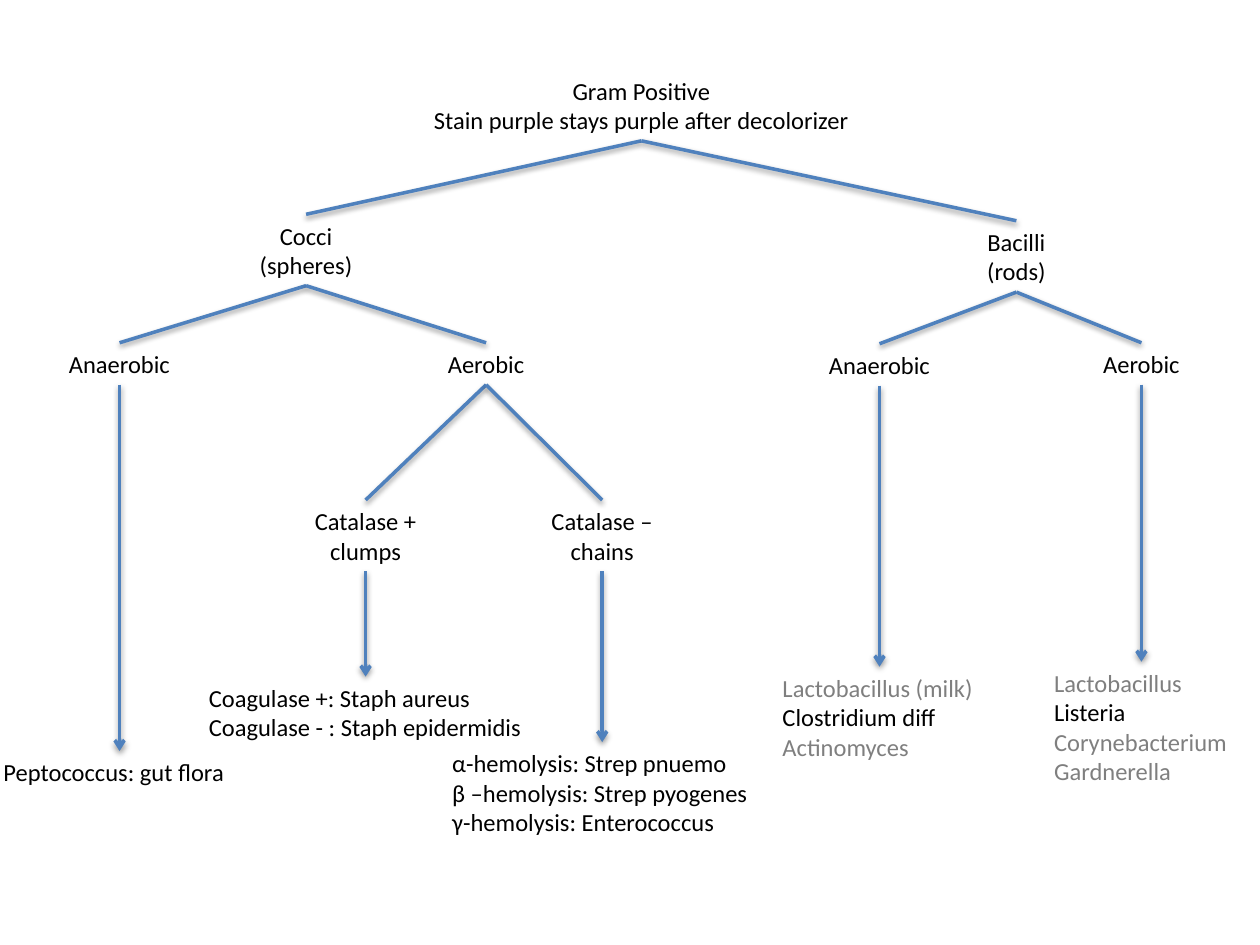
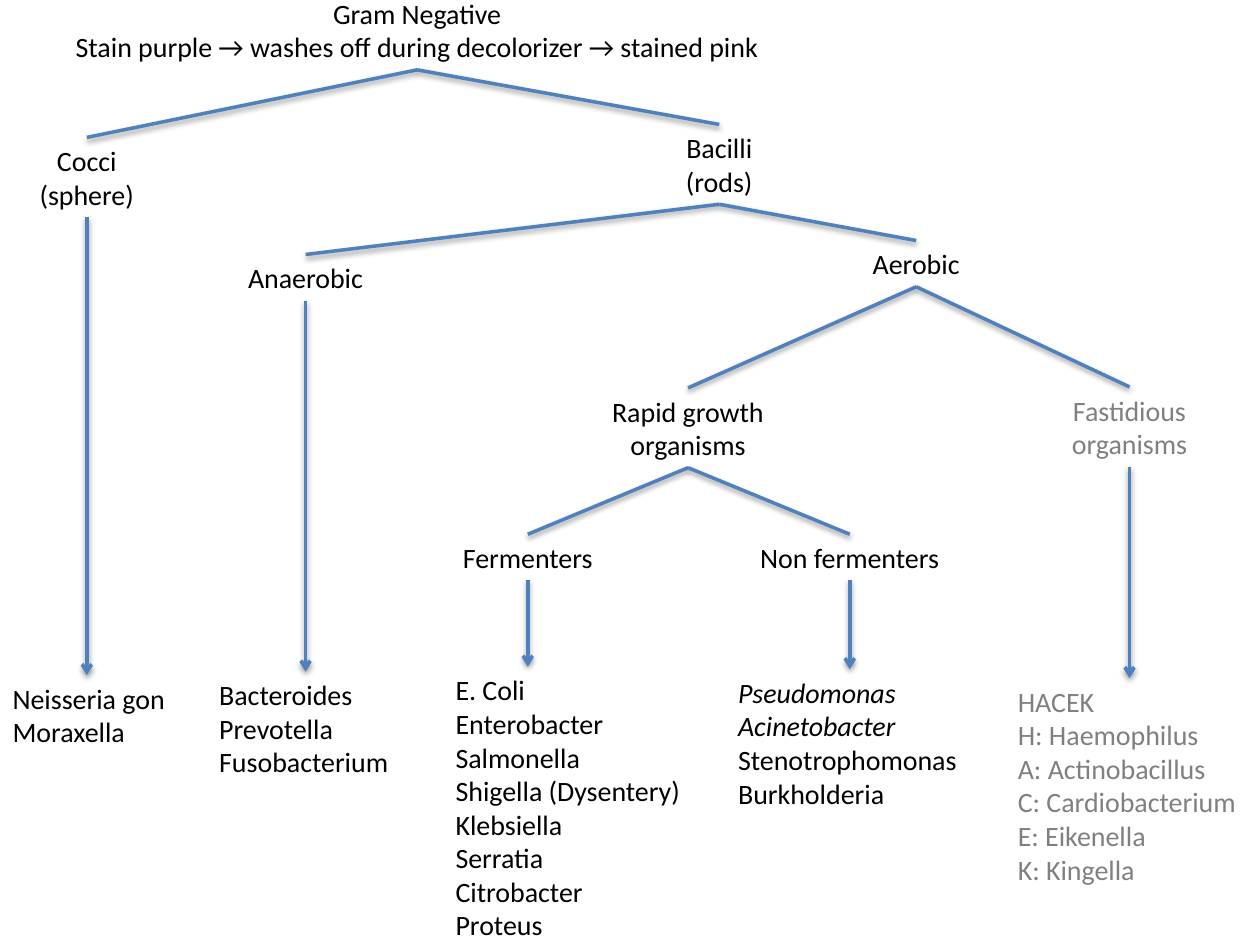
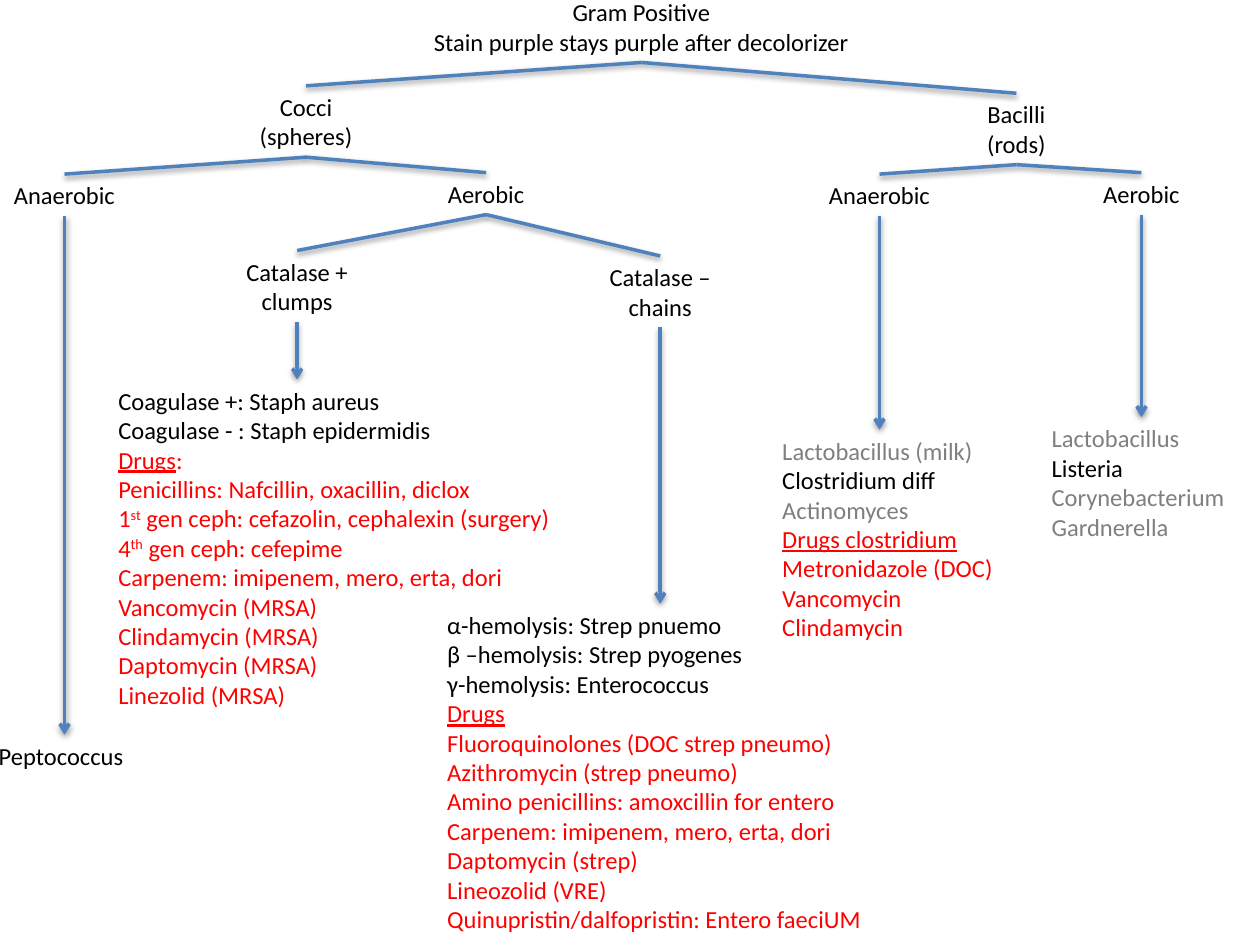
from lxml import etree
from pptx import Presentation
from pptx import util as u
from pptx.dml.color import RGBColor
from pptx.enum import shapes, text
from pptx.oxml.ns import qn

FONT = "Calibri"
BLACK, GREY, MID_GREY, RED, BLUE = "000000", "7F7F7F", "808080", "FF0000", "4F81BD"


def paint(color, *lines):
    return [[(line, {"color": color})] for line in lines]


def heading(label, tail=""):
    return [(label, {"color": RED, "underline": True}), (tail, {"color": RED})][:2 if tail else 1]


def ordinal(number, suffix, rest):
    return [(number, {"color": RED}), (suffix, {"color": RED, "raised": True}), (rest, {"color": RED})]


# name: (parent, lines)
POSITIVE = {
    "root": (None, ["Gram Positive", "Stain purple stays purple after decolorizer"]),
    "cocci": ("root", ["Cocci", "(spheres)"]),
    "bacilli": ("root", ["Bacilli", "(rods)"]),
    "cocci anaerobic": ("cocci", ["Anaerobic"]),
    "cocci aerobic": ("cocci", ["Aerobic"]),
    "bacilli anaerobic": ("bacilli", ["Anaerobic"]),
    "bacilli aerobic": ("bacilli", ["Aerobic"]),
    "clumps": ("cocci aerobic", ["Catalase +", "clumps"]),
    "chains": ("cocci aerobic", ["Catalase –", "chains"]),
    "peptococcus": ("cocci anaerobic", ["Peptococcus: gut flora"]),
    "staph": ("clumps", ["Coagulase +: Staph aureus", "Coagulase - : Staph epidermidis"]),
    "strep": ("chains", ["α-hemolysis: Strep pnuemo", "β –hemolysis: Strep pyogenes",
                         "γ-hemolysis: Enterococcus"]),
    "clostridium": ("bacilli anaerobic", paint(GREY, "Lactobacillus (milk)") + ["Clostridium diff"]
                    + paint(GREY, "Actinomyces")),
    "listeria": ("bacilli aerobic", paint(GREY, "Lactobacillus") + ["Listeria"]
                 + paint(GREY, "Corynebacterium", "Gardnerella")),
}

DRUGS = {
    "staph": [heading("Drugs", ":"), *paint(RED, "Penicillins: Nafcillin, oxacillin, diclox"),
              ordinal("1", "st", " gen ceph: cefazolin, cephalexin (surgery)"),
              ordinal("4", "th", " gen ceph: cefepime"),
              *paint(RED, "Carpenem: imipenem, mero, erta, dori", "Vancomycin (MRSA)",
                     "Clindamycin (MRSA)", "Daptomycin (MRSA)", "Linezolid (MRSA)")],
    "strep": [heading("Drugs"),
              *paint(RED, "Fluoroquinolones (DOC strep pneumo)", "Azithromycin (strep pneumo)",
                     "Amino penicillins: amoxcillin for entero",
                     "Carpenem: imipenem, mero, erta, dori", "Daptomycin (strep)",
                     "Lineozolid (VRE)", "Quinupristin/dalfopristin: Entero faeciUM")],
    "clostridium": [heading("Drugs clostridium"),
                    *paint(RED, "Metronidazole (DOC)", "Vancomycin", "Clindamycin")],
}

TREATED = {name: (parent, lines + DRUGS.get(name, [])) for name, (parent, lines) in POSITIVE.items()}
TREATED["peptococcus"] = ("cocci anaerobic", ["Peptococcus"])

NEGATIVE = {
    "root": (None, ["Gram Negative", "Stain purple → washes off during decolorizer → stained pink"]),
    "cocci": ("root", ["Cocci", "(sphere)"]),
    "bacilli": ("root", ["Bacilli", "(rods)"]),
    "anaerobic": ("bacilli", ["Anaerobic"]),
    "aerobic": ("bacilli", ["Aerobic"]),
    "rapid": ("aerobic", ["Rapid growth", "organisms"]),
    "fastidious": ("aerobic", paint(MID_GREY, "Fastidious", "organisms")),
    "fermenters": ("rapid", ["Fermenters"]),
    "non fermenters": ("rapid", ["Non fermenters"]),
    "neisseria": ("cocci", ["Neisseria gon", "Moraxella"]),
    "bacteroides": ("anaerobic", ["Bacteroides", "Prevotella", "Fusobacterium"]),
    "coli": ("fermenters", ["E. Coli", "Enterobacter", "Salmonella", "Shigella (Dysentery)",
                            "Klebsiella", "Serratia", "Citrobacter", "Proteus"]),
    "pseudomonas": ("non fermenters", [[("Pseudomonas", {"italic": True})],
                                       [("Acinetobacter", {"italic": True})],
                                       "Stenotrophomonas", "Burkholderia"]),
    "hacek": ("fastidious", paint(MID_GREY, "HACEK", "H: Haemophilus", "A: Actinobacillus",
                                  "C: Cardiobacterium", "E: Eikenella", "K: Kingella")),
}

# name: (centre, top, width) in cm
POSITIVE_PLACES = {
    "root": (12.93, 1.4, 8.99), "cocci": (6.17, 4.32, 2.39), "bacilli": (20.49, 4.45, 1.7),
    "cocci anaerobic": (2.41, 6.91, 2.59), "cocci aerobic": (9.8, 6.91, 2.08),
    "bacilli anaerobic": (17.73, 6.93, 2.59), "bacilli aerobic": (23.01, 6.91, 2.08),
    "clumps": (7.37, 10.08, 2.59), "chains": (12.14, 10.08, 2.59),
    "peptococcus": (2.41, 15.14, 5.18), "staph": (7.39, 13.64, 6.86),
    "strep": (12.13, 14.96, 6.53), "clostridium": (17.72, 13.44, 4.39),
    "listeria": (23.02, 13.34, 4.04),
}
TREATED_PLACES = {
    "root": (12.93, -0.18, 8.99), "cocci": (6.17, 1.73, 2.39), "bacilli": (20.49, 1.88, 1.7),
    "cocci anaerobic": (1.3, 3.51, 2.59), "cocci aerobic": (9.8, 3.48, 2.08),
    "bacilli anaerobic": (17.73, 3.51, 2.59), "bacilli aerobic": (23.01, 3.48, 2.08),
    "clumps": (5.99, 5.05, 2.59), "chains": (13.31, 5.16, 2.59),
    "peptococcus": (1.26, 14.81, 3.07), "staph": (6.81, 7.65, 9.35),
    "strep": (13.25, 12.17, 8.97), "clostridium": (17.92, 8.66, 4.8),
    "listeria": (22.97, 8.41, 4.04),
}
NEGATIVE_PLACES = {
    "root": (8.41, -0.2, 14.58), "cocci": (1.75, 2.77, 2.44), "bacilli": (14.5, 2.51, 1.88),
    "anaerobic": (6.16, 5.13, 2.87), "aerobic": (18.47, 4.85, 2.29),
    "rapid": (13.87, 7.82, 3.61), "fastidious": (22.77, 7.8, 2.9),
    "fermenters": (10.64, 10.77, 3.2), "non fermenters": (17.13, 10.77, 4.19),
    "neisseria": (1.82, 13.61, 3.63), "bacteroides": (6.15, 13.54, 3.96),
    "coli": (11.49, 13.44, 5.11), "pseudomonas": (17.12, 13.49, 4.98),
    "hacek": (22.76, 13.67, 4.98),
}

SLIDES = [(POSITIVE, POSITIVE_PLACES, 14), (NEGATIVE, NEGATIVE_PLACES, 16),
          (TREATED, TREATED_PLACES, 14)]


def rgb(color):
    return RGBColor.from_string(color)


def box_height(lines, size):
    return u.Pt(len(lines) * size * 1.2 + 7.2).cm


def add_run(p, words, size, color=BLACK, italic=False, underline=False, raised=False):
    r = p.add_run()
    r.text = words
    f = r.font
    f.name, f.size, f.italic, f.underline = FONT, u.Pt(size), italic, underline
    f.color.rgb = rgb(color)
    if raised:
        r._r.get_or_add_rPr().set("baseline", "30000")


def add_label(s, lines, place, size, align):
    centre, top, width = place
    sp = s.shapes.add_textbox(u.Cm(centre - width / 2), u.Cm(top), u.Cm(width),
                              u.Cm(box_height(lines, size)))
    tf = sp.text_frame
    tf.word_wrap = False
    tf.auto_size = text.MSO_AUTO_SIZE.SHAPE_TO_FIT_TEXT
    for i, line in enumerate(lines):
        p = tf.paragraphs[0] if i == 0 else tf.add_paragraph()
        p.alignment = align
        for words, fmt in [(line, {})] if isinstance(line, str) else line:
            add_run(p, words, size, **fmt)


def add_link(s, x1, y1, x2, y2, arrow):
    c = s.shapes.add_connector(shapes.MSO_CONNECTOR.STRAIGHT, u.Cm(x1), u.Cm(y1), u.Cm(x2), u.Cm(y2))
    c.line.color.rgb = rgb(BLUE)
    c.line.width = u.Pt(2)
    if arrow:
        etree.SubElement(c.line._get_or_add_ln(), qn("a:tailEnd"), type="arrow")
    effects = etree.SubElement(c._element.spPr, qn("a:effectLst"))
    shadow = etree.SubElement(effects, qn("a:outerShdw"), blurRad="40000", dist="20000",
                              dir="5400000", rotWithShape="0")
    tint = etree.SubElement(shadow, qn("a:srgbClr"), val=BLACK)
    etree.SubElement(tint, qn("a:alpha"), val="38000")


def draw_tree(s, tree, places, size):
    parents = {parent for parent, _ in tree.values()}
    for name, (parent, lines) in tree.items():
        leaf = name not in parents
        align = text.PP_ALIGN.LEFT if leaf else text.PP_ALIGN.CENTER
        add_label(s, lines, places[name], size, align)
        if parent:
            x, top, _ = places[parent]
            bottom = top + box_height(tree[parent][1], size)
            centre, end, _ = places[name]
            add_link(s, x, bottom, x if leaf else centre, end, leaf)


def main():
    prs = Presentation()
    prs.slide_width, prs.slide_height = u.Cm(25.4), u.Cm(19.05)
    for tree, places, size in SLIDES:
        draw_tree(prs.slides.add_slide(prs.slide_layouts[6]), tree, places, size)
    prs.save("out.pptx")


if __name__ == "__main__":
    main()
